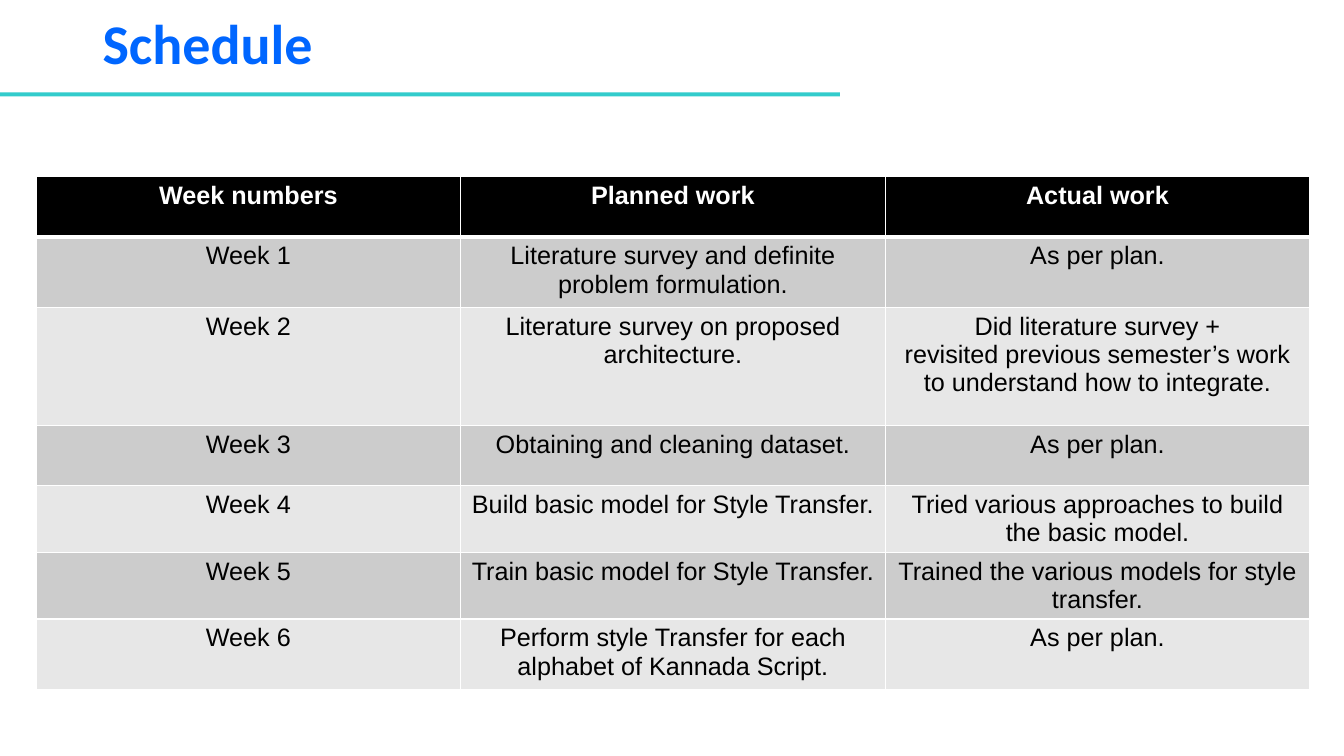
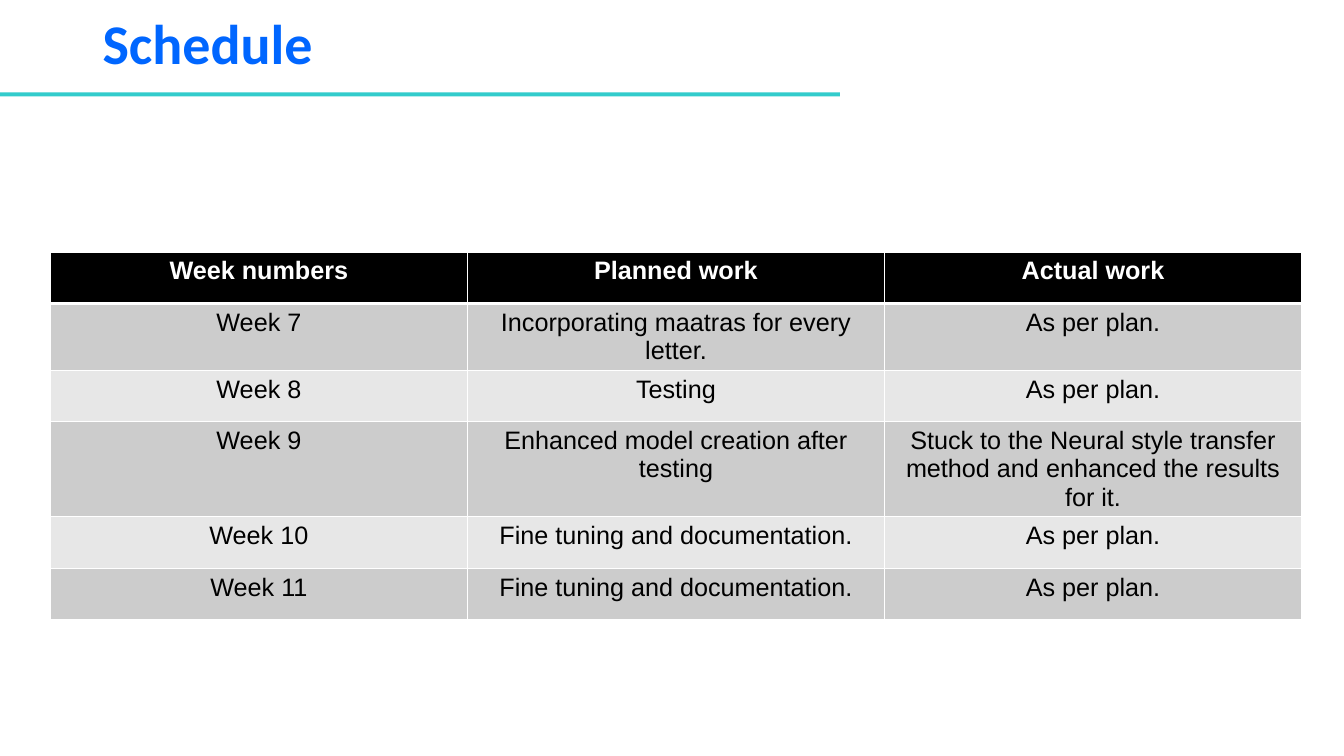
import pptx
import pptx.util
import pptx.dml.color
import pptx.enum.shapes
import pptx.enum.text
import pptx.oxml
import pptx.oxml.ns

Cm = pptx.util.Cm
Pt = pptx.util.Pt
ALIGN = pptx.enum.text.PP_ALIGN
HUES = {"title": "0066FF", "bar": "33CCCC", "head": "000000",
        "odd": "CCCCCC", "even": "E7E7E7", "white": "FFFFFF", "ink": "000000"}
HEADS = ("Week numbers", "Planned work", "Actual work")
PLAN = "As per plan."

# Each page: table left, top, column width, then rows as (height, cells)
PAGES = [
    (0.91, 4.45, 10.7, [
        (1.52, HEADS),
        (1.78, ("Week 1", "Literature survey and definite problem formulation.", PLAN)),
        (2.97, ("Week 2", "Literature survey on proposed architecture.",
                "Did literature survey +\n"
                "revisited previous semester’s work to understand how to integrate.")),
        (1.52, ("Week 3", "Obtaining and cleaning dataset.", PLAN)),
        (1.68, ("Week 4", "Build basic model for Style Transfer.",
                "Tried various approaches to build the basic model.")),
        (1.68, ("Week 5", "Train basic model for Style Transfer.",
                "Trained the various models for style transfer.")),
        (1.78, ("Week 6", "Perform style Transfer for each alphabet of Kannada Script.", PLAN)),
    ]),
    (1.27, 6.35, 10.51, [
        (1.3, HEADS),
        (1.68, ("Week 7", "Incorporating maatras for every letter.", PLAN)),
        (1.3, ("Week 8", "Testing", PLAN)),
        (2.37, ("Week 9", "Enhanced model creation after testing",
                "Stuck to the Neural style transfer method and enhanced the results for it.")),
        (1.3, ("Week 10", "Fine tuning and documentation.", PLAN)),
        (1.3, ("Week 11", "Fine tuning and documentation.", PLAN)),
    ]),
]


def color(name):
    return pptx.dml.color.RGBColor.from_string(HUES[name])


def write(frame, text, font="Arial", size=18, hue="ink", bold=False,
          align=ALIGN.CENTER, space=None):
    frame.text = text
    for para in frame.paragraphs:
        para.alignment = align
        para.line_spacing = space
        for run in para.runs:
            run.font.name = font
            run.font.size = Pt(size)
            run.font.bold = bold
            run.font.color.rgb = color(hue)


deck = pptx.Presentation()
deck.slide_width, deck.slide_height = Cm(33.87), Cm(19.05)

for left, top, width, rows in PAGES:
    slide = deck.slides.add_slide(deck.slide_layouts[5])

    # Bar under the title
    bar = slide.shapes.add_shape(pptx.enum.shapes.MSO_SHAPE.RECTANGLE,
                                 Cm(0), Cm(2.33), Cm(21.17), Cm(0.1))
    bar.shadow.inherit = False
    bar.fill.solid()
    bar.fill.fore_color.rgb = color("bar")
    bar.line.fill.background()

    # Title
    title = slide.shapes.title
    title.left, title.top, title.width, title.height = Cm(2.33), Cm(0), Cm(29.21), Cm(2.33)
    frame = title.text_frame
    frame.auto_size = pptx.enum.text.MSO_AUTO_SIZE.NONE
    frame.vertical_anchor = pptx.enum.text.MSO_ANCHOR.MIDDLE
    write(frame, "Schedule", font="Calibri", size=40, hue="title", bold=True,
          align=ALIGN.LEFT, space=0.9)

    # Schedule table
    count = len(HEADS)
    high = sum(row[0] for row in rows)
    table = slide.shapes.add_table(len(rows), count, Cm(left), Cm(top),
                                   Cm(width * count), Cm(high)).table
    for col in table.columns:
        col.width = Cm(width)
    for i, (height, texts) in enumerate(rows):
        table.rows[i].height = Cm(height)
        head = i == 0
        band = "head" if head else "odd" if i % 2 else "even"
        for j, text in enumerate(texts):
            cell = table.cell(i, j)
            write(cell.text_frame, text, hue="white" if head else "ink", bold=head)
            # White cell borders, thicker below the header
            props = cell._tc.get_or_add_tcPr()
            for side in "LRTB" if head else "LRB":
                thick = Pt(3 if head and side == "B" else 1)
                props.append(pptx.oxml.parse_xml(
                    f'<a:ln{side} {pptx.oxml.ns.nsdecls("a")} w="{thick}"><a:solidFill>'
                    f'<a:srgbClr val="{HUES["white"]}"/></a:solidFill></a:ln{side}>'))
            cell.fill.solid()
            cell.fill.fore_color.rgb = color(band)

deck.save("out.pptx")
